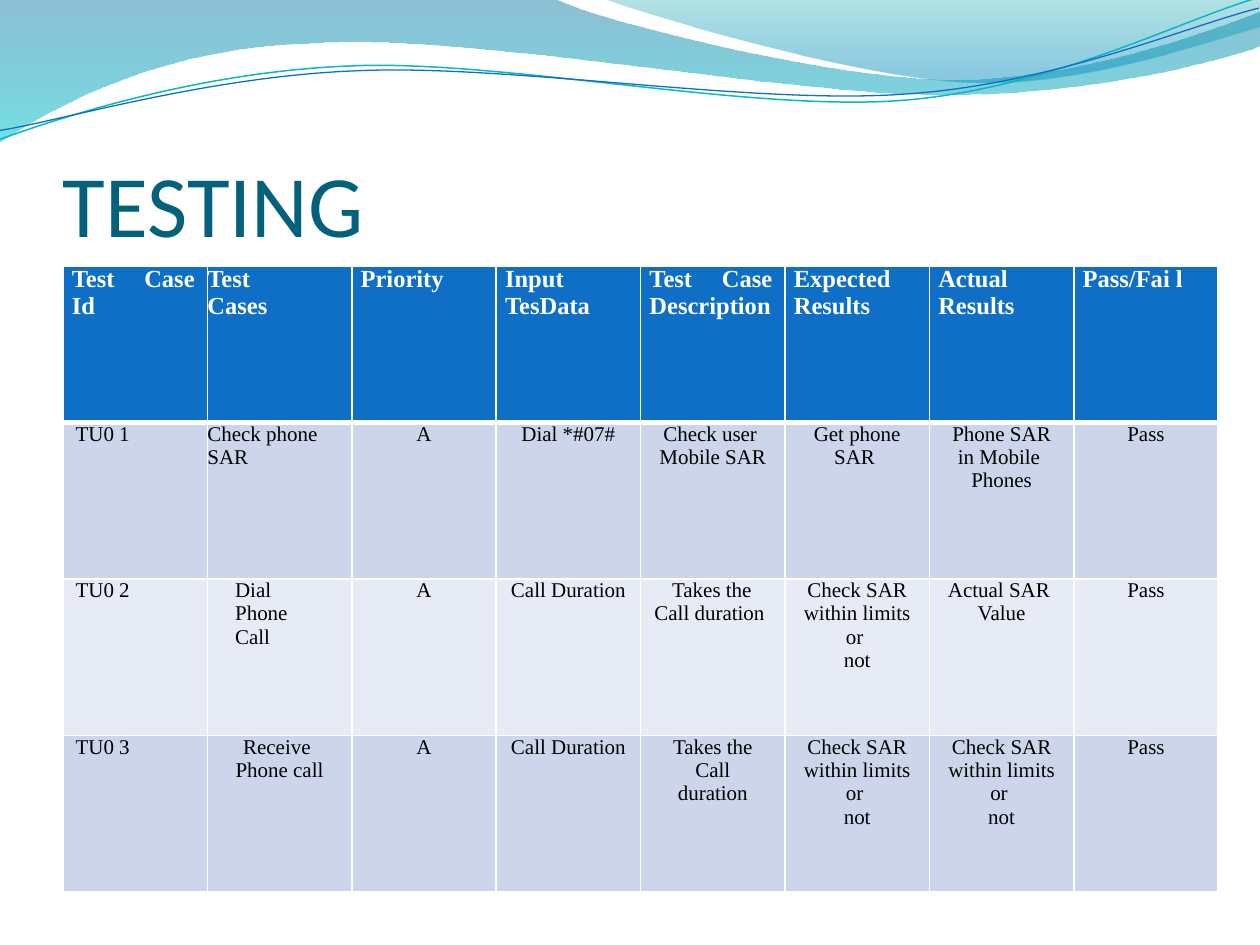
from lxml.etree import SubElement
from pptx import Presentation
from pptx.dml.color import RGBColor
from pptx.enum.text import MSO_ANCHOR as Anchor, PP_ALIGN as Align
from pptx.oxml.ns import qn
from pptx.util import Inches, Pt

colour = RGBColor.from_string
LEFT, CENTER, JUSTIFY = Align.LEFT, Align.CENTER, Align.JUSTIFY

deck = Presentation()
deck.slide_width, deck.slide_height = Inches(10), Inches(7.5)
page = deck.slides.add_slide(deck.slide_layouts[6])


def write(para, text, size=12, font="Times New Roman", color="000000", bold=False,
          align=LEFT, left=0, right=0, first=0, spacing=None):
    """Put formatted text in a paragraph; margins are in inches, spacing in points."""
    para.alignment = align
    if spacing:
        para.line_spacing = Pt(spacing)
    props = para._p.get_or_add_pPr()
    for key, value in (("marL", left), ("marR", right), ("indent", first)):
        props.set(key, str(Inches(value)))
    span = para.add_run()
    span.text = text
    span.font.size, span.font.name, span.font.bold = Pt(size), font, bold
    span.font.color.rgb = colour(color)


def trace(start, steps, closed=False):
    """Draw an outline; a step of two numbers is a line, of six a Bezier curve."""
    corners = [(Inches(step[i]), Inches(step[i + 1]))
               for step in steps for i in range(0, len(step), 2)]
    builder = page.shapes.build_freeform(Inches(start[0]), Inches(start[1]))
    builder.add_line_segments(corners, close=closed)
    shape = builder.convert_to_shape()
    shape.shadow.inherit = False
    # Join each three line segments of a curve step into one Bezier segment
    segments = iter(list(shape._element.iter(qn("a:lnTo"))))
    for step in steps:
        segment = next(segments)
        if len(step) == 6:
            segment.tag = qn("a:cubicBezTo")
            for extra in (next(segments), next(segments)):
                segment.append(extra[0])
                extra.getparent().remove(extra)
    return shape


# Header waves: start, steps, gradient stops (position, colour, opacity in percent)
waves = [
    ((0, 0),
     [(4.4, -0.01), (4.76, 0.17, 6.64, 0.63, 7.58, 0.63),
      (8.53, 0.63, 9.58, 0.26, 10, 0.09), (10.01, 0.36),
      (9.83, 0.44, 8.7, 0.76, 7.46, 0.75), (6.22, 0.75, 3.82, 0.28, 2.57, 0.34),
      (1.29, 0.36, 0.46, 0.83, -0.01, 1.13)],
     [(0, "0074A1", 45), (1, "00C6CF", 55)]),
    ((4.79, -0.01),
     [(5.09, 0.11, 6.82, 0.62, 7.69, 0.65), (8.56, 0.69, 9.61, 0.32, 10, 0.21), (10, 0)],
     [(0, "00A1A9", 30), (0.8, "008BBF", 45)]),
]
for start, steps, stops in waves:
    wave = trace(start, steps, closed=True)
    wave.line.fill.background()
    wave.fill.gradient()
    wave.fill.gradient_angle = 270
    for stop, (position, color, opacity) in zip(wave.fill.gradient_stops, stops):
        stop.position = position
        stop.color.rgb = colour(color)
    tints = wave._element.spPr.iter(qn("a:srgbClr"))
    for tint, (position, color, opacity) in zip(tints, stops):
        SubElement(tint, qn("a:alpha"), val=str(opacity * 1000))

ribbons = [
    ((-0.02, 0.87), [(0.47, 0.72, 1.58, 0.41, 2.78, 0.42), (3.96, 0.42, 5.91, 0.93, 7.12, 0.9),
                     (8.32, 0.87, 9.4, 0.36, 10, 0.22)], "0AB8BF", 0.85),
    ((-0.02, 0.8), [(0.46, 0.75, 1.64, 0.45, 2.83, 0.46), (4.03, 0.46, 5.96, 0.88, 7.16, 0.85),
                    (8.35, 0.83, 9.42, 0.42, 10.01, 0.3)], "0F6FC6", 0.75),
]
for start, steps, color, width in ribbons:
    ribbon = trace(start, steps)
    ribbon.rotation = 357.3
    ribbon.fill.background()
    ribbon.line.color.rgb = colour(color)
    ribbon.line.width = Pt(width)

# Title
title = page.shapes.add_textbox(Inches(0.5), Inches(0.77), Inches(9), Inches(1.25))
frame = title.text_frame
frame.word_wrap = True
frame.vertical_anchor = Anchor.BOTTOM
frame.margin_left = frame.margin_right = frame.margin_bottom = 0
frame.margin_top = Inches(0.05)
write(frame.paragraphs[0], "TESTING", size=50, font="Calibri", color="04617B")

# Headings: text, alignment, left and right margin
headings = [("Test Case Id", JUSTIFY, 0.07, 0.1), ("Test Cases", LEFT, 0, 0.4),
            ("Priority", LEFT, 0.07, 0), ("Input TesData", LEFT, 0.07, 0.07),
            ("Test Case Description", JUSTIFY, 0.07, 0.1),
            ("Expected Results", LEFT, 0.07, 0.07), ("Actual Results", LEFT, 0.07, 0.07),
            ("Pass/Fai l", LEFT, 0.07, 0)]
# Test cases: text, alignment, side margin and first-line indent
limits = ("Check SAR within limits or \nnot", CENTER, 0.08, 0)
priority = ("A", CENTER, 0.01, 0)
verdict = ("Pass", CENTER, 0.24, 0)
cases = [
    [("TU0 1", LEFT, 0.21, -0.11), ("Check phone SAR", LEFT, 0, 0), priority,
     ("Dial *#07#", CENTER, 0.09, 0), ("Check user \nMobile SAR", CENTER, 0.12, 0),
     ("Get phone SAR ", CENTER, 0.08, 0), ("Phone SAR in Mobile \nPhones", CENTER, 0.13, 0),
     verdict],
    [("TU0 2", LEFT, 0.21, -0.11), ("Dial\nPhone \nCall", LEFT, 0.08, 0.14), priority,
     ("Call Duration", CENTER, 0.08, 0), ("Takes the Call duration ", LEFT, 0.11, 0.14),
     limits, ("Actual SAR \nValue", CENTER, 0.09, 0), verdict],
    [("TU0 3", LEFT, 0.21, -0.11), ("Receive \nPhone call", CENTER, 0.1, 0), priority,
     ("Call Duration", CENTER, 0.01, 0), ("Takes the Call duration", CENTER, 0.17, 0),
     limits, limits, verdict],
]
row_fills = ["0F6FC6", "CCD5EA", "E7EBF5", "CCD5EA"]
table = page.shapes.add_table(4, 8, Inches(0.5), Inches(2.11),
                              Inches(9.17), Inches(4.97)).table

for row, fill in enumerate(row_fills):
    for column in range(8):
        cell = table.cell(row, column)
        cell.margin_left = cell.margin_right = cell.margin_top = cell.margin_bottom = 0
        frame = cell.text_frame
        if row == 0:
            text, align, left, right = headings[column]
            write(frame.paragraphs[0], text, size=14, color="FFFFFF", bold=True,
                  align=align, left=left, right=right)
        else:
            text, align, side, first = cases[row - 1][column]
            fixed = align == CENTER and side in (0.01, 0.24)
            for index, line in enumerate(text.split("\n")):
                para = frame.add_paragraph() if index else frame.paragraphs[0]
                write(para, line, align=align, left=side, right=side, first=first,
                      spacing=13.4 if fixed else None)
        props = cell._tc.get_or_add_tcPr()
        for edge in "LRTB":
            thick = (row, edge) in ((0, "B"), (1, "T"))
            border = SubElement(props, qn(f"a:ln{edge}"), w=str(Pt(3 if thick else 1)))
            SubElement(SubElement(border, qn("a:solidFill")), qn("a:srgbClr"), val="FFFFFF")
        cell.fill.solid()
        cell.fill.fore_color.rgb = colour(fill)

deck.save("out.pptx")
